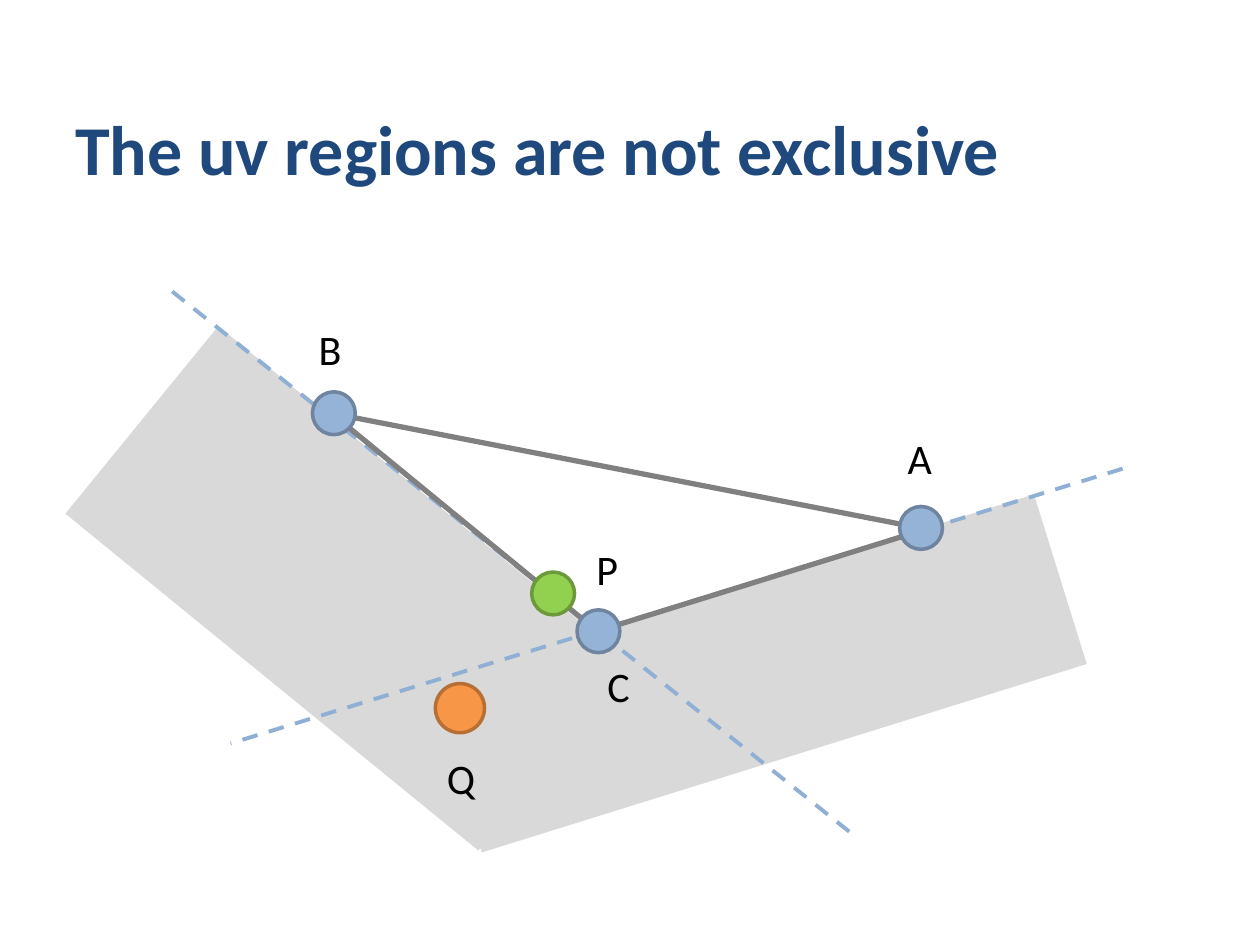
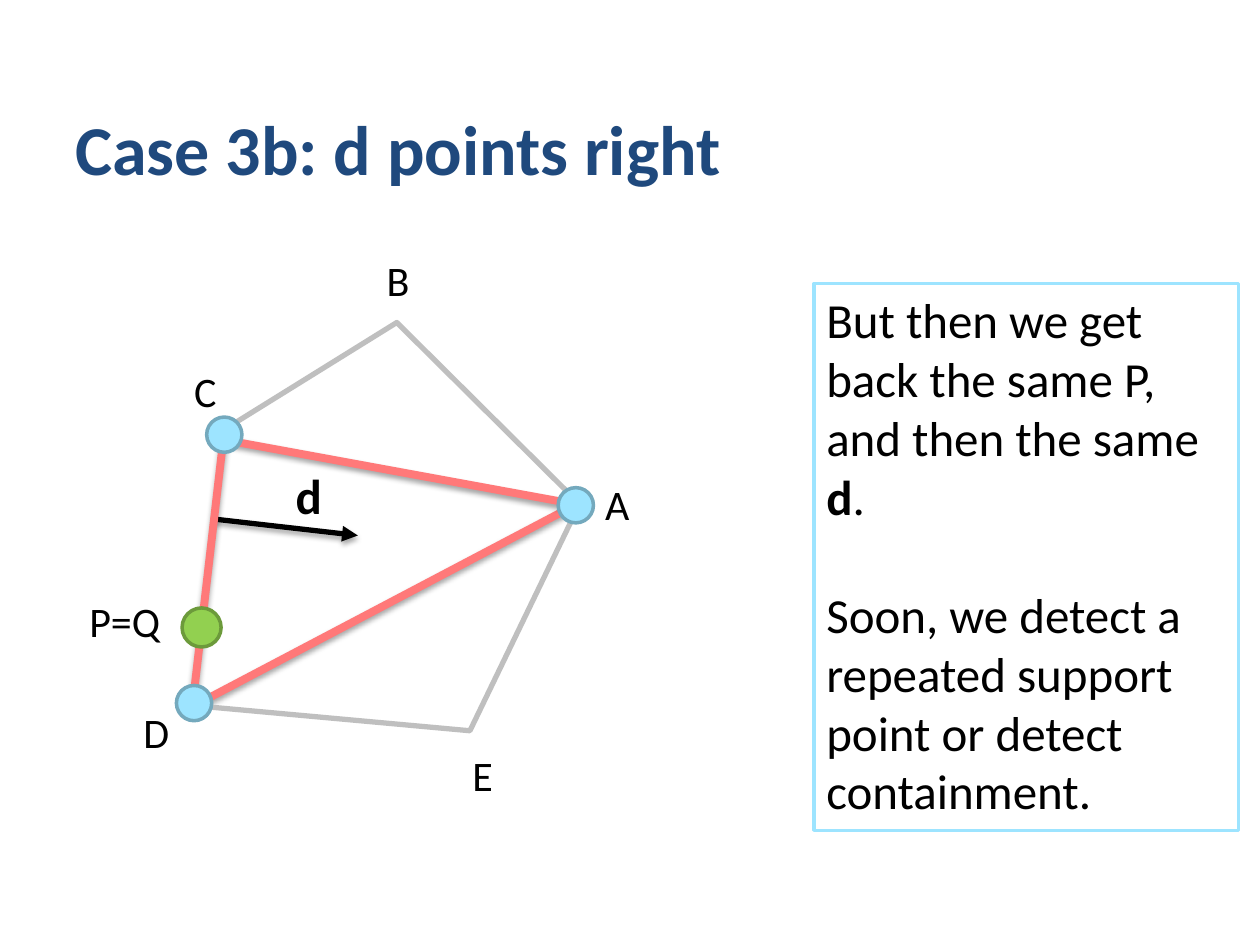
from lxml import etree
from pptx import Presentation
from pptx.dml.color import RGBColor
from pptx.enum.dml import MSO_LINE
from pptx.enum.shapes import MSO_CONNECTOR, MSO_SHAPE
from pptx.enum.text import MSO_ANCHOR, PP_ALIGN
from pptx.oxml.ns import qn
from pptx.util import Inches, Pt

RECT, OVAL = MSO_SHAPE.RECTANGLE, MSO_SHAPE.OVAL
STRAIGHT, DASH = MSO_CONNECTOR.STRAIGHT, MSO_LINE.DASH
TOP, MIDDLE, BOTTOM = MSO_ANCHOR.TOP, MSO_ANCHOR.MIDDLE, MSO_ANCHOR.BOTTOM
LEFT, CENTER = PP_ALIGN.LEFT, PP_ALIGN.CENTER

FONT = "Calibri"
BLACK, WHITE, NAVY = "000000", "FFFFFF", "1F497D"
REGION, GUIDE, EDGE = "D9D9D9", "90AFD4", "808080"
HULL, SIMPLEX = "BFBFBF", "FF7979"
# Fill and outline of each kind of point
BLUE, CYAN = ("95B3D7", "6E849F"), ("9DE4FF", "74A9BD")
GREEN, ORANGE = ("92D050", "6C9A3B"), ("F79646", "B76F34")


def rgb(color):
    return RGBColor.from_string(color)


def style_font(font, size, color=BLACK, bold=False):
    font.name, font.size, font.bold = FONT, Pt(size), bold
    font.color.rgb = rgb(color)


def style_line(line, color, width):
    line.color.rgb = rgb(color)
    line.width = Pt(width)


def add_shape(s, kind, x, y, w, h, fill, outline=None, rotation=0):
    sp = s.shapes.add_shape(kind, Inches(x), Inches(y), Inches(w), Inches(h))
    sp.shadow.inherit = False
    sp.rotation = rotation
    sp.fill.solid()
    sp.fill.fore_color.rgb = rgb(fill)
    if outline:
        style_line(sp.line, outline, 2)
    else:
        sp.line.fill.background()
    return sp


def add_text(s, text, x, y, w, h, size, color=BLACK, bold=False,
             align=LEFT, anchor=TOP, wrap=True):
    sp = s.shapes.add_textbox(Inches(x), Inches(y), Inches(w), Inches(h))
    tf = sp.text_frame
    tf.text = text
    tf.word_wrap, tf.vertical_anchor = wrap, anchor
    p = tf.paragraphs[0]
    p.alignment = align
    style_font(p.runs[0].font, size, color, bold)


def add_title(s, text):
    add_text(s, text, 0.5, 0.13, 8.25, 1.42, 40, NAVY, True, anchor=BOTTOM)


def add_label(s, text, center, size=24, bold=False):
    w, h = 0.8, 0.5
    add_text(s, text, center[0] - w / 2, center[1] - h / 2, w, h, size,
             bold=bold, align=CENTER, anchor=MIDDLE, wrap=False)


def add_dot(s, center, size, colors):
    add_shape(s, OVAL, center[0] - size / 2, center[1] - size / 2,
              size, size, *colors)


def add_line(s, start, end, color, width, dash=None, arrow=False, shadow=False):
    c = s.shapes.add_connector(STRAIGHT, *map(Inches, (*start, *end)))
    style_line(c.line, color, width)
    if dash:
        c.line.dash_style = dash
    spPr = c._element.spPr
    if arrow:
        etree.SubElement(spPr.find(qn("a:ln")), qn("a:tailEnd"), type="triangle")
    effects = etree.SubElement(spPr, qn("a:effectLst"))
    if shadow:
        shade = etree.SubElement(effects, qn("a:outerShdw"), blurRad=str(Pt(3.1)),
                                 dist=str(Pt(1.8)), dir="5400000", rotWithShape="0")
        tone = etree.SubElement(shade, qn("a:srgbClr"), val=BLACK)
        etree.SubElement(tone, qn("a:alpha"), val="35000")


def add_outline(s, points, color):
    first, *rest = [tuple(map(Inches, point)) for point in points]
    builder = s.shapes.build_freeform(*first)
    builder.add_line_segments(rest, close=True)
    sp = builder.convert_to_shape()
    sp.shadow.inherit = False
    sp.fill.background()
    style_line(sp.line, color, 3)


def add_uv_regions(s, x, y):
    def at(dx, dy):
        return x + dx, y + dy

    add_shape(s, RECT, *at(0.15, 1.51), 4.23, 1.92, REGION, rotation=39.2)
    add_shape(s, RECT, *at(3, 2.44), 5.03, 1.41, REGION, rotation=342.7)
    add_line(s, at(6.24, 4.4), at(0.8, 0.06), GUIDE, 2.25, DASH)
    add_line(s, at(8.41, 1.52), at(1.33, 3.7), GUIDE, 2.25, DASH)
    add_outline(s, [at(2.13, 1.08), at(4.24, 2.81), at(6.85, 2)], EDGE)
    for name, dot, label, size, colors in (
            ("A", (6.81, 1.99), (6.8, 1.43), 0.34, BLUE),
            ("B", (2.15, 1.08), (2.12, 0.57), 0.34, BLUE),
            ("C", (4.25, 2.81), (4.41, 3.24), 0.34, BLUE),
            ("Q", (3.15, 3.42), (3.16, 3.97), 0.39, ORANGE),
            ("P", (3.89, 2.51), (4.32, 2.31), 0.34, GREEN)):
        add_dot(s, at(*dot), size, colors)
        add_label(s, name, at(*label))


def add_hull(s, x, y):
    """Pentagon ABCDE with triangle ACD and direction d."""
    def at(dx, dy):
        return x + dx, y + dy

    add_line(s, at(1.2, 2.12), at(2.34, 2.25), BLACK, 3, arrow=True, shadow=True)
    add_line(s, at(1.08, 3.58), at(4.08, 2), SIMPLEX, 4.5, shadow=True)
    add_line(s, at(1.33, 1.5), at(4.06, 2), SIMPLEX, 4.5, shadow=True)
    add_outline(s, [at(1.28, 1.41), at(1.03, 3.6), at(3.23, 3.8),
                    at(4.1, 2), at(2.65, 0.56)], HULL)
    add_line(s, at(1.03, 3.58), at(1.28, 1.42), SIMPLEX, 4.5, shadow=True)
    for center in ((1.28, 1.45), (1.04, 3.58), (4.07, 2.01)):
        add_dot(s, at(*center), 0.28, CYAN)
    add_dot(s, at(1.1, 2.98), 0.31, GREEN)
    for name, center in (("A", (4.4, 2)), ("B", (2.66, 0.22)), ("C", (1.13, 1.1)),
                         ("D", (0.74, 3.81)), ("E", (3.33, 4.15)),
                         ("P=Q", (0.49, 2.93))):
        add_label(s, name, at(*center))
    add_label(s, "d", at(1.95, 1.93), 28, True)


def add_note(s, x, y, w, h):
    sp = add_shape(s, RECT, x, y, w, h, WHITE, CYAN[0])
    tf = sp.text_frame
    tf.word_wrap, tf.vertical_anchor = True, TOP
    paragraphs = (
        (("But then we get back the same P, and then the same ", False),
         ("d", True), (".", False)),
        (("Soon, we detect a repeated support point or detect containment.", False),))
    for i, runs in enumerate(paragraphs):
        p = tf.add_paragraph() if i else tf.paragraphs[0]
        p.alignment = LEFT
        if i:
            p.space_before = Pt(34)
        for text, bold in runs:
            r = p.add_run()
            r.text = text
            style_font(r.font, 28, bold=bold)


def main():
    prs = Presentation()
    prs.slide_width, prs.slide_height = Inches(10), Inches(7.5)
    blank = prs.slide_layouts[6]

    s = prs.slides.add_slide(blank)
    add_title(s, "The uv regions are not exclusive")
    add_uv_regions(s, 0.5, 2.2)

    s = prs.slides.add_slide(blank)
    add_title(s, "Case 3b: d points right")
    add_hull(s, 0.5, 2)
    add_note(s, 6.46, 2.25, 3.37, 4.34)

    prs.save("out.pptx")


if __name__ == "__main__":
    main()
